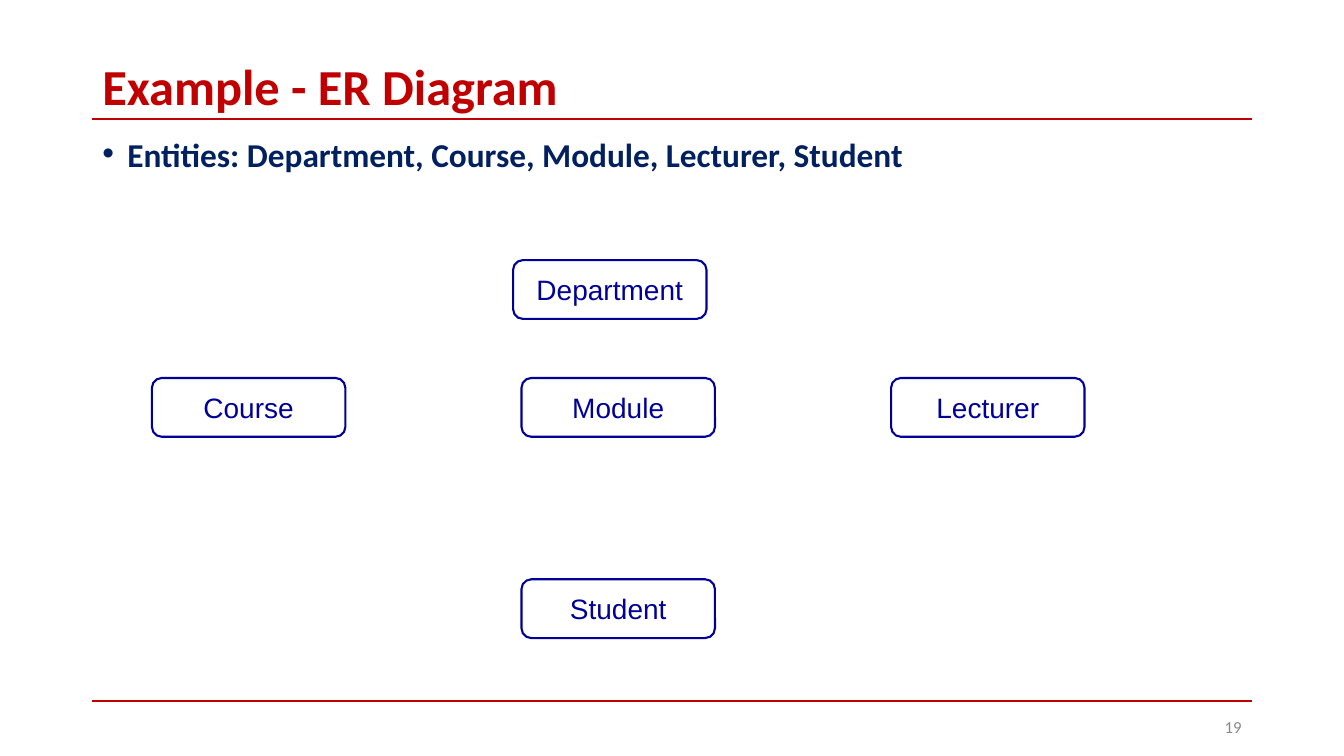
"""Build the entity slide of an ER diagram example."""
import dataclasses

import lxml.etree
import pptx
import pptx.dml.color
import pptx.enum.shapes
import pptx.enum.text
import pptx.oxml.ns
import pptx.util

Pt = pptx.util.Pt
ALIGN = pptx.enum.text.PP_ALIGN
ANCHOR = pptx.enum.text.MSO_ANCHOR


@dataclasses.dataclass(frozen=True)
class Style:
    """Font, size, colour and weight of a run."""
    font: str
    size: float
    color: str
    bold: bool = False


@dataclasses.dataclass(frozen=True)
class Theme:
    """Colours and type styles of the slide."""
    rule: str = "C00000"
    entity_line: str = "000099"
    line_width: float = 1.5
    title: Style = Style("Calibri", 36, "C00000", True)
    body: Style = Style("Calibri", 23.8, "002060", True)
    number: Style = Style("Calibri", 12, "888888")
    entity: Style = Style("Arial", 20, "000099")


THEME = Theme()


def rgb(color):
    """Turn a hex string into a colour."""
    return pptx.dml.color.RGBColor.from_string(color)


def add_element(parent, tag, **attributes):
    """Append a drawing element to its parent."""
    return lxml.etree.SubElement(parent, pptx.oxml.ns.qn(tag), attributes)


def write_text(shape, text, style, align=ALIGN.LEFT, anchor=ANCHOR.MIDDLE):
    """Put one styled run into a shape and return its paragraph."""
    frame = shape.text_frame
    frame.word_wrap = True
    frame.vertical_anchor = anchor
    paragraph = frame.paragraphs[0]
    paragraph.alignment = align
    run = paragraph.add_run()
    run.text = text
    run.font.name = style.font
    run.font.size = Pt(style.size)
    run.font.bold = style.bold
    run.font.color.rgb = rgb(style.color)
    return paragraph


def add_text(slide, box, text, style, **layout):
    """Add a text box and return its paragraph."""
    return write_text(slide.shapes.add_textbox(*map(Pt, box)), text, style, **layout)


def add_rule(slide, left, top, width):
    """Draw a horizontal rule."""
    rule = slide.shapes.add_connector(
        pptx.enum.shapes.MSO_CONNECTOR.STRAIGHT,
        Pt(left), Pt(top), Pt(left + width), Pt(top))
    rule.line.color.rgb = rgb(THEME.rule)
    rule.line.width = Pt(THEME.line_width)
    add_element(rule._element.spPr, "a:effectLst")


def add_header(slide, box, title):
    """Place the title with the rule under it."""
    left, top, width, height = box
    add_rule(slide, left, top + height, width)
    paragraph = add_text(slide, (left, top, width, height - 0.5), title, THEME.title)
    paragraph.line_spacing = 0.9


def add_bullet(slide, box, text):
    """Place the bulleted statement."""
    paragraph = add_text(slide, box, text, THEME.body, anchor=ANCHOR.TOP)
    paragraph.line_spacing = 0.7
    properties = paragraph._element.get_or_add_pPr()
    properties.set("marL", str(Pt(18)))
    properties.set("indent", str(-Pt(18)))
    bullet_color = add_element(properties, "a:buClr")
    add_element(bullet_color, "a:srgbClr", val=THEME.body.color)
    add_element(properties, "a:buFont", typeface="Arial")
    add_element(properties, "a:buChar", char="•")


def add_footer(slide, box, number):
    """Place the bottom rule and the slide number."""
    left, top, width, height = box
    number_width = 216
    add_rule(slide, left, top, width)
    number_box = (left + width - number_width, top + 4.5, number_width, height - 4.5)
    add_text(slide, number_box, number, THEME.number, align=ALIGN.RIGHT)


def add_entity(slide, box, name):
    """Draw one entity as a rounded outline with its name."""
    shape = slide.shapes.add_shape(
        pptx.enum.shapes.MSO_SHAPE.ROUNDED_RECTANGLE, *map(Pt, box))
    shape.shadow.inherit = False
    shape.fill.background()
    shape.line.color.rgb = rgb(THEME.entity_line)
    shape.line.width = Pt(THEME.line_width)
    write_text(shape, name, THEME.entity, align=ALIGN.CENTER)


def add_entities(slide, box):
    """Arrange the entities in three columns, Department set slightly left."""
    left, top, width, height = box
    entity_width, entity_height = 138.2, 42
    column_step = (width - entity_width) / 2
    middle_row, bottom_row = 84.2, height - entity_height
    entities = [
        ("Department", column_step - 6, 0),
        ("Course", 0, middle_row),
        ("Module", column_step, middle_row),
        ("Lecturer", 2 * column_step, middle_row),
        ("Student", column_step, bottom_row),
    ]
    for name, across, down in entities:
        add_entity(slide, (left + across, top + down, entity_width, entity_height), name)


def main():
    """Build and save the slide."""
    presentation = pptx.Presentation()
    presentation.slide_width = Pt(960)
    presentation.slide_height = Pt(540)
    slide = presentation.slides.add_slide(presentation.slide_layouts[6])
    left, width = 66, 828
    add_header(slide, (left, 43.5, width, 41.5), "Example - ER Diagram")
    add_bullet(slide, (left, 100, width, 29),
               "Entities: Department, Course, Module, Lecturer, Student")
    add_entities(slide, (108.5, 185.8, 666.2, 270))
    add_footer(slide, (left, 500.4, width, 33.3), "19")
    presentation.save("out.pptx")


if __name__ == "__main__":
    main()
